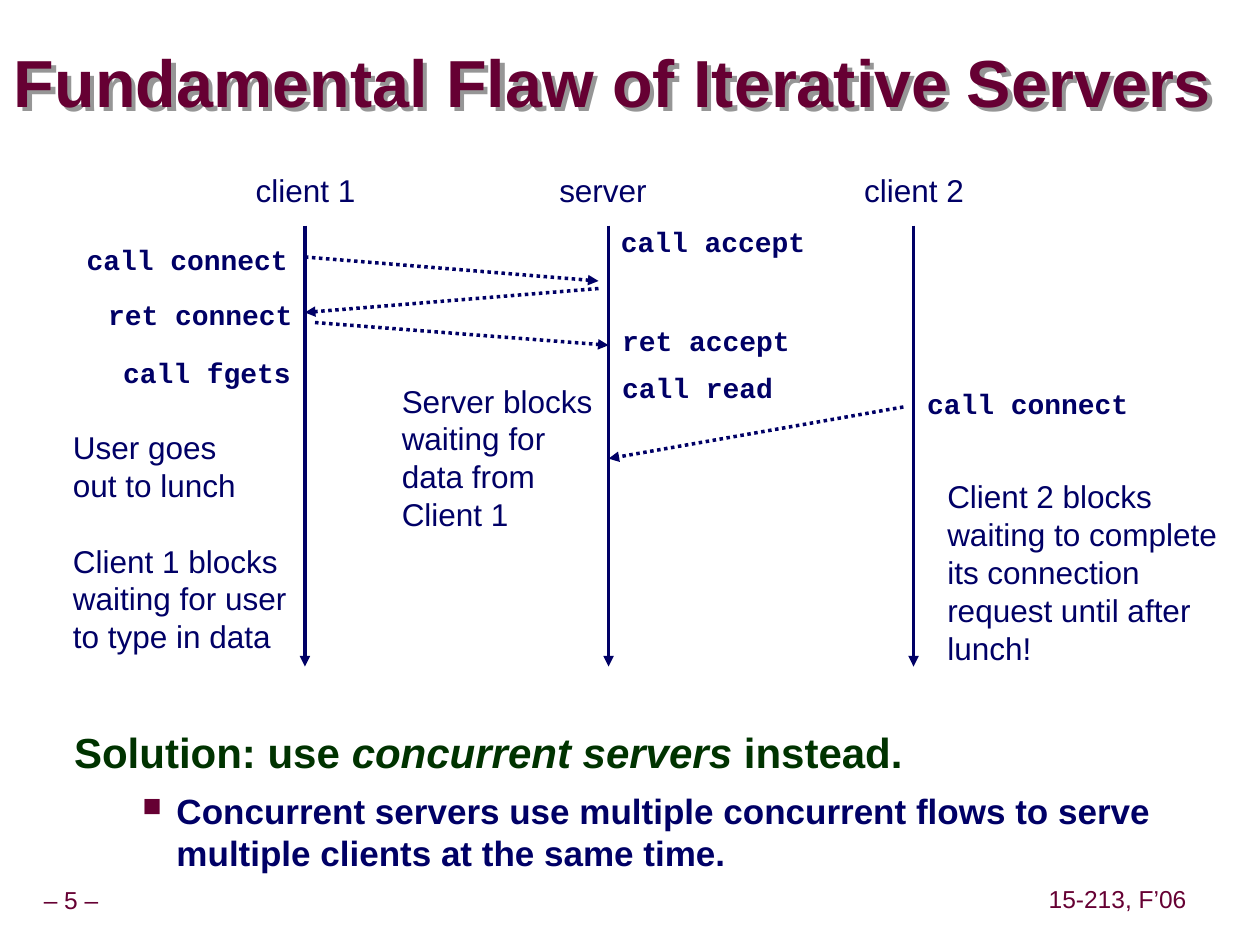
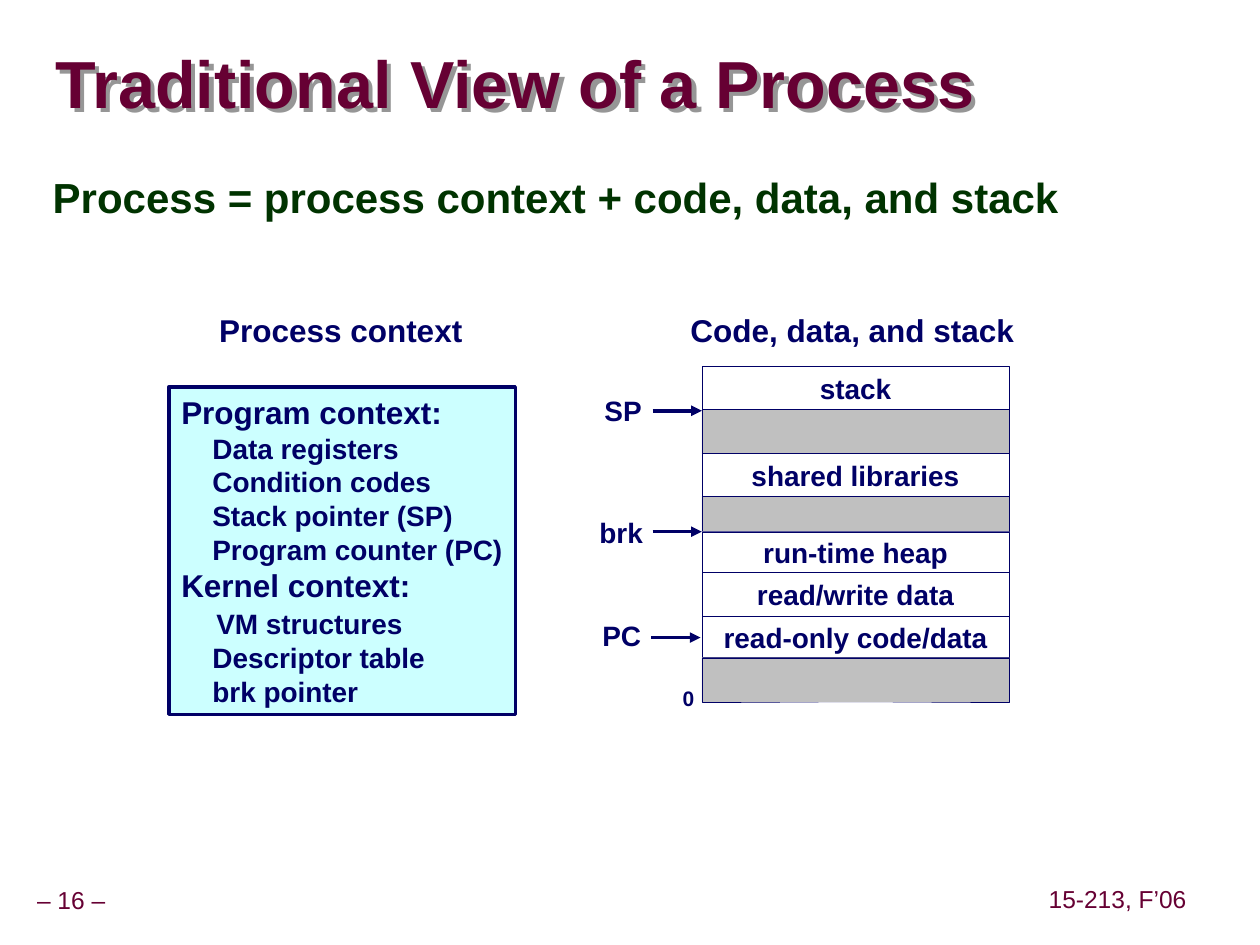
from dataclasses import dataclass
from itertools import accumulate

from lxml import etree
from pptx import Presentation
from pptx import util as u
from pptx.dml.color import RGBColor
from pptx.enum import dml, shapes, text
from pptx.oxml import ns

MAROON = RGBColor(0x66, 0x00, 0x33)
NAVY = RGBColor(0x00, 0x00, 0x66)
GREEN = RGBColor(0x00, 0x33, 0x00)
CYAN = RGBColor(0xCC, 0xFF, 0xFF)
GRAY = RGBColor(0xC0, 0xC0, 0xC0)
SHADOW = RGBColor(0x96, 0x96, 0x96)
WHITE = RGBColor(0xFF, 0xFF, 0xFF)

SANS = "Arial"
MONO = "Courier New"
SLIDE_WIDTH, SLIDE_HEIGHT = u.Inches(10), u.Inches(7.5)
COLUMN, ROW = SLIDE_WIDTH / 100, SLIDE_HEIGHT / 75
LEFT, CENTER = text.PP_ALIGN.LEFT, text.PP_ALIGN.CENTER
TOP, MIDDLE = text.MSO_ANCHOR.TOP, text.MSO_ANCHOR.MIDDLE


@dataclass(frozen=True)
class Box:
    column: float
    row: float
    columns: float
    rows: float

    def lengths(self) -> tuple[int, ...]:
        return (round(self.column * COLUMN), round(self.row * ROW),
                round(self.columns * COLUMN), round(self.rows * ROW))


@dataclass(frozen=True)
class Run:
    words: str
    italic: bool = False


@dataclass(frozen=True)
class Line:
    runs: tuple[Run, ...]
    size: float | None = None
    color: RGBColor | None = None
    before: float = 0
    margin: float = 0
    spacing: float | None = None
    bullet: bool = False


@dataclass(frozen=True)
class Arrow:
    start: tuple[float, float]
    end: tuple[float, float]
    dotted: bool = False


@dataclass(frozen=True)
class Call:
    words: str
    column: float
    row: float


@dataclass(frozen=True)
class Note:
    box: Box
    lines: tuple[Line, ...]


@dataclass(frozen=True)
class Region:
    words: str
    rows: float


@dataclass(frozen=True)
class Pointer:
    words: str
    box: Box
    arrow: Arrow


def line(words: str, **settings) -> Line:
    return Line((Run(words),), **settings)


def lines(*wordings: str) -> tuple[Line, ...]:
    return tuple(line(words) for words in wordings)


def add_bullet(paragraph, margin: float) -> None:
    properties = paragraph._p.get_or_add_pPr()
    properties.set("marL", str(u.Pt(margin)))
    properties.set("indent", str(-u.Inches(0.27)))
    color = etree.SubElement(properties, ns.qn("a:buClr"))
    etree.SubElement(color, ns.qn("a:srgbClr"), val=str(MAROON))
    etree.SubElement(properties, ns.qn("a:buSzPct"), val="75000")
    etree.SubElement(properties, ns.qn("a:buChar"), char="■")


def write(shape, content: str | tuple[Line, ...], *, size: float = 18, color: RGBColor = NAVY,
          font: str = SANS, bold: bool = False, align=LEFT, anchor=TOP, wrap: bool = False,
          spacing: float | None = None, insets: tuple[float, float] = (0.1, 0.05)) -> None:
    frame = shape.text_frame
    frame.auto_size = text.MSO_AUTO_SIZE.NONE
    frame.word_wrap = wrap
    frame.vertical_anchor = anchor
    frame.margin_left = frame.margin_right = u.Inches(insets[0])
    frame.margin_top = frame.margin_bottom = u.Inches(insets[1])
    content = lines(content) if isinstance(content, str) else content
    for index, item in enumerate(content):
        paragraph = frame.add_paragraph() if index else frame.paragraphs[0]
        paragraph.alignment = align
        if item.bullet:
            add_bullet(paragraph, item.margin)
        elif item.margin:
            paragraph._p.get_or_add_pPr().set("marL", str(u.Pt(item.margin)))
        if item.before:
            paragraph.space_before = u.Pt(item.before)
        if item.spacing or spacing:
            paragraph.line_spacing = item.spacing or spacing
        for piece in item.runs:
            run = paragraph.add_run()
            run.text = piece.words
            run.font.name = font
            run.font.size = u.Pt(item.size or size)
            run.font.bold = bold
            run.font.italic = piece.italic
            run.font.color.rgb = item.color or color


def add_text(slide, box: Box, content: str | tuple[Line, ...], **settings) -> None:
    write(slide.shapes.add_textbox(*box.lengths()), content, **settings)


def add_block(slide, box: Box, fill: RGBColor, weight: float,
              content: str | tuple[Line, ...] = (), **settings) -> None:
    shape = slide.shapes.add_shape(shapes.MSO_SHAPE.RECTANGLE, *box.lengths())
    shape.shadow.inherit = False
    shape.fill.solid()
    shape.fill.fore_color.rgb = fill
    shape.line.color.rgb = NAVY
    shape.line.width = u.Pt(weight)
    if content:
        write(shape, content, bold=True, anchor=MIDDLE, **settings)


def add_arrow(slide, arrow: Arrow) -> None:
    ends = [round(value * unit) for point in (arrow.start, arrow.end)
            for value, unit in zip(point, (COLUMN, ROW))]
    connector = slide.shapes.add_connector(shapes.MSO_CONNECTOR.STRAIGHT, *ends)
    connector.line.color.rgb = NAVY
    connector.line.width = u.Pt(2)
    if arrow.dotted:
        connector.line.dash_style = dml.MSO_LINE.ROUND_DOT
    properties = connector._element.spPr
    etree.SubElement(properties.find(ns.qn("a:ln")), ns.qn("a:tailEnd"), type="triangle")
    etree.SubElement(properties, ns.qn("a:effectLst"))


def add_title_shadow(title) -> None:
    effects = etree.SubElement(title._element.spPr, ns.qn("a:effectLst"))
    shadow = etree.SubElement(effects, ns.qn("a:outerShdw"), dist=str(u.Inches(0.05)),
                              dir="2700000", algn="ctr", rotWithShape="0")
    etree.SubElement(shadow, ns.qn("a:srgbClr"), val=str(SHADOW))


def add_slide(presentation, heading: str, title_box: Box, number: int):
    slide = presentation.slides.add_slide(presentation.slide_layouts[5])
    title = slide.shapes.title
    title.left, title.top, title.width, title.height = title_box.lengths()
    write(title, heading, size=38, color=MAROON, bold=True, anchor=MIDDLE, wrap=True,
          spacing=0.87, insets=(0, 0))
    add_title_shadow(title)
    footers = ((Box(1, 70, 9.3, 3.1), f"– {number} –"),
               (Box(82.7, 69.9, 12, 3.1), "15-213, F’06"))
    for box, words in footers:
        add_text(slide, box, words, size=14, color=MAROON, align=CENTER, anchor=MIDDLE,
                 spacing=0.9, insets=(0.05, 0.05))
    return slide


CLIENT_1, SERVER, CLIENT_2 = 24.2, 48.3, 72.5
LIFELINES = {"client 1": (CLIENT_1, 9.9), "server": (SERVER, 8.9), "client 2": (CLIENT_2, 9.9)}
MESSAGES = (
    Arrow((CLIENT_1, 20.4), (SERVER - 0.8, 22.3), True),
    Arrow((SERVER - 0.8, 22.9), (CLIENT_1, 24.8), True),
    Arrow((CLIENT_1 + 0.8, 25.6), (SERVER, 27.4), True),
    Arrow((CLIENT_2 - 0.8, 32.3), (SERVER, 36.4), True),
)
CALLS = (
    Call("call connect", 5.9, 18.8),
    Call("ret connect", 7.6, 23.1),
    Call("call fgets", 8.8, 27.7),
    Call("call accept", SERVER, 17.3),
    Call("ret accept", SERVER + 0.1, 25.2),
    Call("call read", SERVER + 0.1, 28.9),
    Call("call connect", CLIENT_2 + 0.1, 30.2),
)
NOTES = (
    Note(Box(4.8, 33.5, 18.9, 19),
         lines("User goes", "out to lunch")
         + (line("Client 1 blocks", before=21.6),)
         + lines("waiting for user", "to type in data")),
    Note(Box(30.9, 29.8, 17.1, 13),
         lines("Server blocks", "waiting for", "data from", "Client 1")),
    Note(Box(74.2, 37.4, 23.4, 16),
         lines("Client 2 blocks", "waiting to complete", "its connection",
               "request until after", "lunch!")),
)
SOLUTION = (
    Line((Run("Solution: use "), Run("concurrent servers ", True), Run("instead.")),
         size=24, color=GREEN, spacing=0.95),
    line("Concurrent servers use multiple concurrent flows to serve "
         "multiple clients at the same time.", size=20, before=6.2, margin=58.5, bullet=True),
)


def build_flaw_slide(presentation) -> None:
    slide = add_slide(presentation, "Fundamental Flaw of Iterative Servers",
                      Box(1.1, 3.7, 98.3, 6.3), 5)
    add_text(slide, Box(4.9, 57.5, 92.6, 12.6), SOLUTION, bold=True, wrap=True)
    for name, (column, width) in LIFELINES.items():
        add_arrow(slide, Arrow((column, 17.9), (column, 52.9)))
        add_text(slide, Box(column - 4.9, 13.1, width, 4), name)
    for message in MESSAGES:
        add_arrow(slide, message)
    for call in CALLS:
        width = 2 + 1.33 * len(call.words)
        add_text(slide, Box(call.column, call.row, width, 3.7), call.words,
                 size=16, font=MONO, bold=True)
    for note in NOTES:
        add_text(slide, note.box, note.lines)


CONTEXT = (
    line("Program context:", size=18),
    *(line(words, margin=17.8) for words in (
        "Data registers", "Condition codes", "Stack pointer (SP)", "Program counter (PC)")),
    line("Kernel context:", size=18),
    line("VM structures", margin=20, before=2),
    *(line(words, margin=17.8) for words in ("Descriptor table", "brk pointer")),
)
MEMORY_COLUMN, MEMORY_ROW, MEMORY_WIDTH = 55.7, 29.1, 24.4
REGIONS = (
    Region("stack", 3.4),
    Region("", 3.5),
    Region("shared libraries", 3.4),
    Region("", 2.8),
    Region("run-time heap", 3.2),
    Region("read/write data", 3.5),
    Region("read-only code/data", 3.3),
    Region("", 3.5),
)
POINTERS = (
    Pointer("SP", Box(47, 30.7, 4.9, 3.7), Arrow((51.8, 32.6), (MEMORY_COLUMN, 32.6))),
    Pointer("brk", Box(46.6, 40.4, 5.4, 3.7), Arrow((51.8, 42.2), (MEMORY_COLUMN, 42.2))),
    Pointer("PC", Box(46.8, 48.6, 5.1, 3.7), Arrow((51.7, 50.6), (55.6, 50.6))),
)
HEADINGS = {"Process context": Box(16.4, 24.2, 21.3, 4),
            "Code, data, and stack": Box(53.8, 24.2, 27.7, 4)}


def build_process_slide(presentation) -> None:
    slide = add_slide(presentation, "Traditional View of a Process",
                      Box(4.4, 2.7, 95.3, 8.5), 16)
    add_text(slide, Box(3.2, 13.4, 90.9, 5),
             "Process = process context + code, data, and stack",
             size=24, color=GREEN, bold=True, wrap=True, spacing=0.95)
    for words, box in HEADINGS.items():
        add_text(slide, box, words, bold=True, align=CENTER, anchor=MIDDLE)
    add_block(slide, Box(13.4, 30.7, 27.5, 26), CYAN, 2, CONTEXT, size=16)
    starts = accumulate((region.rows for region in REGIONS), initial=MEMORY_ROW)
    for region, row in zip(REGIONS, starts):
        add_block(slide, Box(MEMORY_COLUMN, row, MEMORY_WIDTH, region.rows),
                  WHITE if region.words else GRAY, 0.25, region.words, size=16, align=CENTER)
    for pointer in POINTERS:
        add_text(slide, pointer.box, pointer.words, size=16, bold=True,
                 align=CENTER, anchor=MIDDLE)
        add_arrow(slide, pointer.arrow)
    add_text(slide, Box(53.2, 53.9, 2.9, 3), "0", size=12, bold=True)


def main() -> None:
    presentation = Presentation()
    presentation.slide_width, presentation.slide_height = SLIDE_WIDTH, SLIDE_HEIGHT
    build_flaw_slide(presentation)
    build_process_slide(presentation)
    presentation.save("out.pptx")


if __name__ == "__main__":
    main()
